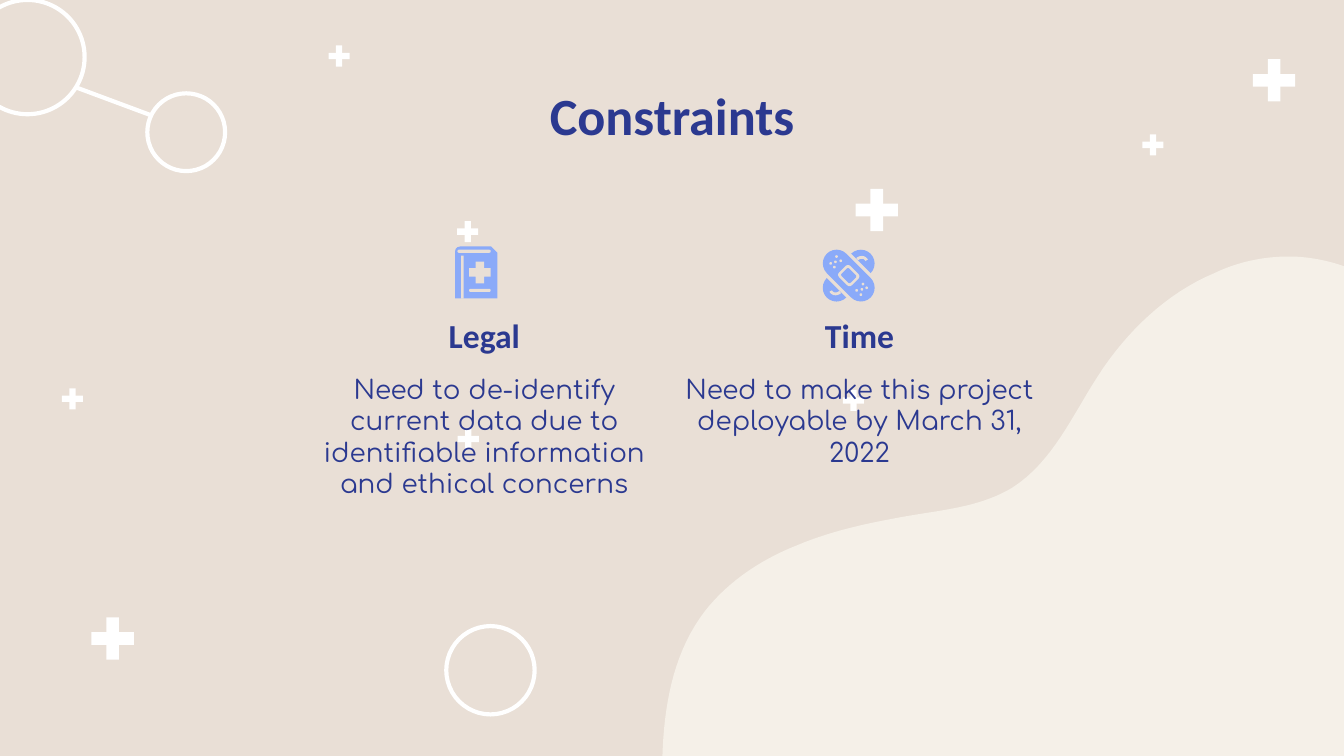
from lxml.etree import SubElement
from pptx import Presentation
from pptx.dml.color import RGBColor
from pptx.enum.shapes import MSO_CONNECTOR, MSO_SHAPE
from pptx.enum.text import MSO_ANCHOR, MSO_AUTO_SIZE, PP_ALIGN
from pptx.oxml.ns import qn
from pptx.util import Cm, Pt

COLORS = {
    "background": "E9DFD6",
    "wave": "F5F0E8",
    "white": "FFFFFF",
    "icon": "8AAAF9",
    "text": "2B3990",
}
RGB = {name: RGBColor.from_string(value) for name, value in COLORS.items()}

presentation = Presentation()
presentation.slide_width = Cm(25.4)
presentation.slide_height = Cm(14.29)
slide = presentation.slides.add_slide(presentation.slide_layouts[5])
slide.background.fill.solid()
slide.background.fill.fore_color.rgb = RGB["background"]
shapes = slide.shapes


def add_centered(kind, x, y, width, height, fill=None, line=None, rotation=0, adjust=()):
    shape = shapes.add_shape(kind, Cm(x - width / 2), Cm(y - height / 2), Cm(width), Cm(height))
    shape.shadow.inherit = False
    shape.rotation = rotation
    for index, value in enumerate(adjust):
        shape.adjustments[index] = value
    if fill:
        shape.fill.solid()
        shape.fill.fore_color.rgb = RGB[fill]
    else:
        shape.fill.background()
    if line:
        shape.line.color.rgb = RGB[line]
        shape.line.width = Pt(2.25)
    else:
        shape.line.fill.background()


def add_curve(start, curves, corners=(), closed=True):
    points = [start]
    for first, second, end in curves:
        origin = points[-1]
        for step in range(1, 17):
            t = step / 16
            weights = ((1 - t) ** 3, 3 * t * (1 - t) ** 2, 3 * t * t * (1 - t), t ** 3)
            points.append(tuple(
                sum(weight * point[axis] for weight, point in zip(weights, (origin, first, second, end)))
                for axis in (0, 1)
            ))
    points.extend(corners)
    points = [(Cm(x), Cm(y)) for x, y in points]
    builder = shapes.build_freeform(*points[0])
    builder.add_line_segments(points[1:], close=closed)
    shape = builder.convert_to_shape()
    shape.shadow.inherit = False
    return shape


wave = add_curve(
    (25.6, 5.11),
    [
        ((25.22, 4.95), (24.79, 4.85), (24.36, 4.85)),
        ((23.88, 4.85), (23.4, 4.95), (22.96, 5.16)),
        ((22.05, 5.54), (21.29, 6.27), (20.75, 7.11)),
        ((20.27, 7.85), (19.89, 8.74), (19.13, 9.22)),
        ((18.59, 9.55), (17.93, 9.63), (17.3, 9.73)),
        ((16.54, 9.86), (15.77, 10.01), (15.06, 10.31)),
        ((14.35, 10.59), (13.67, 11.05), (13.23, 11.68)),
        ((12.7, 12.45), (12.55, 13.39), (12.52, 14.29)),
    ],
    corners=[(25.6, 14.29)],
)
wave.fill.solid()
wave.fill.fore_color.rgb = RGB["wave"]
wave.line.fill.background()

for x, y, diameter in [(0.52, 1.08, 2.16), (3.52, 2.5, 1.47), (9.27, 12.67, 1.67)]:
    add_centered(MSO_SHAPE.OVAL, x, y, diameter, diameter, line="white")

link = shapes.add_connector(MSO_CONNECTOR.STRAIGHT, Cm(1.46), Cm(1.66), Cm(2.83), Cm(2.17))
link.line.color.rgb = RGB["white"]
link.line.width = Pt(2.25)
SubElement(link.element.spPr, qn("a:effectLst"))

crosses = {
    (0.8, 0.24): [(16.57, 3.97), (2.13, 12.07), (24.08, 1.52)],
    (0.4, 0.12): [(6.41, 1.06), (8.84, 4.38), (16.13, 7.57), (8.85, 8.3), (21.79, 2.74), (1.37, 7.54)],
}
for (length, thickness), centers in crosses.items():
    for x, y in centers:
        for width, height in [(thickness, length), (length, thickness)]:
            add_centered(MSO_SHAPE.RECTANGLE, x, y, width, height, fill="white")

title = shapes.title
title_format = {"size": Pt(28), "name": "Calibri", "bold": True}
heading_format = {"size": Pt(18), "name": "Calibri", "bold": True}
body_format = {"size": Pt(14), "name": "Comfortaa", "bold": False}
texts = [(title, "Constraints", (1.98, 1.56, 21.44, 1.2), MSO_ANCHOR.MIDDLE, title_format)]
columns = [
    (5.51, "Legal", "Need to de-identify current data due to identifiable information and ethical concerns"),
    (12.6, "Time", "Need to make this project deployable by March 31, 2022"),
]
for left, heading, body in columns:
    for text, top, height, anchor, font_format in [
        (heading, 5.97, 0.99, MSO_ANCHOR.BOTTOM, heading_format),
        (body, 6.81, 2.82, MSO_ANCHOR.TOP, body_format),
    ]:
        box = shapes.add_textbox(0, 0, 0, 0)
        texts.append((box, text, (left, top, 7.29, height), anchor, font_format))

for shape, text, bounds, anchor, font_format in texts:
    for name, value in zip(("left", "top", "width", "height"), bounds):
        setattr(shape, name, Cm(value))
    frame = shape.text_frame
    frame_format = {"word_wrap": True, "auto_size": MSO_AUTO_SIZE.NONE, "vertical_anchor": anchor}
    for side in ("left", "top", "right", "bottom"):
        frame_format[f"margin_{side}"] = Cm(0.25)
    for name, value in frame_format.items():
        setattr(frame, name, value)
    paragraph = frame.paragraphs[0]
    paragraph.alignment = PP_ALIGN.CENTER
    run = paragraph.add_run()
    run.text = text
    for name, value in font_format.items():
        setattr(run.font, name, value)
    run.font.color.rgb = RGB["text"]

for kind, x, y, width, height, fill, adjust in [
    (MSO_SHAPE.SNIP_ROUND_RECTANGLE, 9, 5.15, 0.8, 0.98, "icon", [0.12, 0.15]),
    (MSO_SHAPE.ROUNDED_RECTANGLE, 8.96, 4.75, 0.63, 0.06, "background", [0.5]),
    (MSO_SHAPE.RECTANGLE, 8.74, 5.24, 0.05, 0.81, "background", []),
    (MSO_SHAPE.CROSS, 9.07, 5.15, 0.41, 0.41, "background", [0.3]),
    (MSO_SHAPE.ROUNDED_RECTANGLE, 9.07, 5.49, 0.41, 0.06, "background", [0.5]),
]:
    add_centered(kind, x, y, width, height, fill=fill, adjust=adjust)

center_x, center_y = 16.04, 5.21
for width, height, rotation, fill, roundness in [
    (1.17, 0.52, -45, "icon", 0.5),
    (1.3, 0.65, 45, "background", 0.5),
    (1.17, 0.52, 45, "icon", 0.5),
    (0.34, 0.3, 45, "background", 0.2),
    (0.24, 0.2, 45, "icon", 0.15),
]:
    add_centered(MSO_SHAPE.ROUNDED_RECTANGLE, center_x, center_y, width, height,
                 fill=fill, rotation=rotation, adjust=[roundness])

dots = [(-0.23, -0.36), (-0.15, -0.28), (-0.25, -0.26), (-0.34, -0.23), (-0.27, -0.16)]
arc = [(0.16, -0.31), (0.22, -0.36), (0.3, -0.36), (0.34, -0.29)]
for sign in (1, -1):
    for x, y in dots:
        add_centered(MSO_SHAPE.OVAL, center_x + sign * x, center_y + sign * y, 0.05, 0.05, fill="background")
    start, *curve = [(center_x + sign * x, center_y + sign * y) for x, y in arc]
    crease = add_curve(start, [curve], closed=False)
    crease.fill.background()
    crease.line.color.rgb = RGB["background"]
    crease.line.width = Pt(1.5)

presentation.save("out.pptx")
